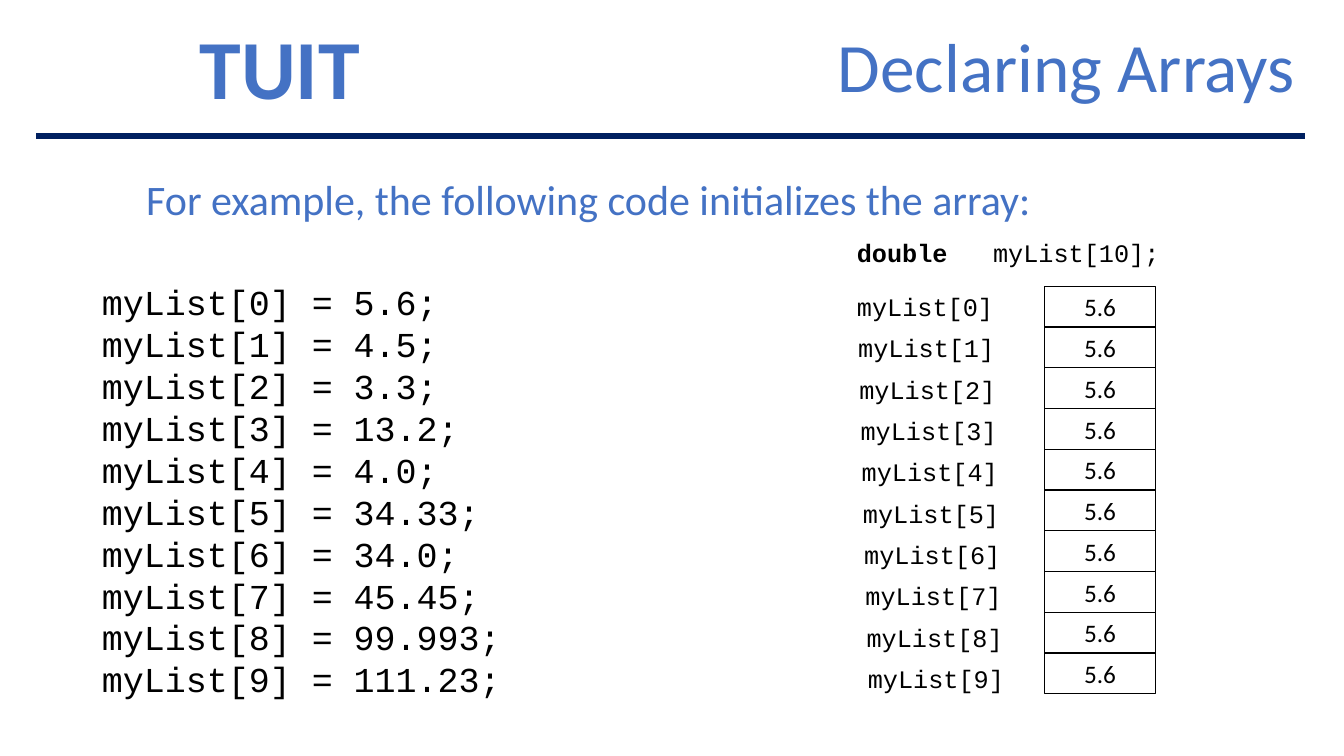
from dataclasses import dataclass

from lxml import etree
from pptx import Presentation
from pptx import util as u
from pptx.dml.color import RGBColor
from pptx.enum import shapes, text
from pptx.oxml import ns

SLIDE_WIDTH, SLIDE_HEIGHT = u.Inches(13.33), u.Inches(7.5)
VALUES = ["5.6", "4.5", "3.3", "13.2", "4.0", "34.33", "34.0", "45.45", "99.993", "111.23"]
CELL_VALUE = "5.6"


@dataclass(frozen=True)
class Theme:
    heading: str = "4472C4"
    rule: str = "002060"
    ink: str = "000000"
    paper: str = "FFFFFF"
    body_font: str = "Calibri"
    code_font: str = "Courier New"
    mark_size: float = 60
    title_size: float = 49.5
    lead_size: float = 30
    code_size: float = 25
    code_leading: float = 30
    label_size: float = 18
    rule_width: float = 4.5
    cell_border: float = 1


THEME = Theme()


# Lengths as percentages of the slide's size
def across(percent):
    return round(SLIDE_WIDTH * percent / 100)


def down(percent):
    return round(SLIDE_HEIGHT * percent / 100)


def place(shape, left, top, width, height):
    shape.left, shape.top = across(left), down(top)
    shape.width, shape.height = across(width), down(height)
    return shape


def write(shape, lines, size, color=THEME.ink, font=THEME.body_font, bold=False,
          align=text.PP_ALIGN.LEFT, anchor=text.MSO_ANCHOR.TOP, spacing=1.0,
          indent=None, tab=None):
    """Fill a shape with lines; a line is a string or a list of (text, bold) runs."""
    frame = shape.text_frame
    frame.word_wrap = True
    frame.auto_size = text.MSO_AUTO_SIZE.NONE
    frame.vertical_anchor = anchor
    if indent is not None:
        frame.margin_left = across(indent)
    for number, line in enumerate(lines):
        paragraph = frame.paragraphs[0] if number == 0 else frame.add_paragraph()
        paragraph.alignment = align
        paragraph.line_spacing = spacing
        paragraph.space_before = u.Pt(0)
        if tab is not None:
            properties = paragraph._p.get_or_add_pPr()
            stops = etree.SubElement(properties, ns.qn("a:tabLst"))
            etree.SubElement(stops, ns.qn("a:tab"), pos=str(across(tab)), algn="l")
        for words, heavy in [(line, bold)] if isinstance(line, str) else line:
            run = paragraph.add_run()
            run.text = words
            run.font.name, run.font.size, run.font.bold = font, u.Pt(size), heavy
            run.font.color.rgb = RGBColor.from_string(color)


def add_text(slide, box, lines, size, **formatting):
    shape = place(slide.shapes.add_textbox(0, 0, 0, 0), *box)
    write(shape, lines, size, **formatting)


def add_rule(slide, left, right, top):
    line = slide.shapes.add_connector(shapes.MSO_CONNECTOR.STRAIGHT, across(left),
                                      down(top), across(right), down(top))
    line.line.color.rgb = RGBColor.from_string(THEME.rule)
    line.line.width = u.Pt(THEME.rule_width)
    etree.SubElement(line._element.spPr, ns.qn("a:effectLst"))


def add_cell(slide, box, value):
    cell = place(slide.shapes.add_shape(shapes.MSO_SHAPE.RECTANGLE, 0, 0, 0, 0), *box)
    cell.shadow.inherit = False
    cell.fill.solid()
    cell.fill.fore_color.rgb = RGBColor.from_string(THEME.paper)
    cell.line.color.rgb = RGBColor.from_string(THEME.ink)
    cell.line.width = u.Pt(THEME.cell_border)
    write(cell, [value], THEME.label_size, align=text.PP_ALIGN.CENTER,
          anchor=text.MSO_ANCHOR.MIDDLE)


def add_array(slide, names):
    """Draw the column of cells with its slightly slanted column of labels."""
    for index, name in enumerate(names):
        add_cell(slide, (77.72, 37.87 + 5.39 * index, 8.25, 5.39), CELL_VALUE)
        add_text(slide, (63.02 + 0.09 * index, 37.87 + 5.47 * index, 11.7, 5.33),
                 [name], THEME.label_size, font=THEME.code_font)


def main():
    presentation = Presentation()
    presentation.slide_width, presentation.slide_height = SLIDE_WIDTH, SLIDE_HEIGHT
    slide = presentation.slides.add_slide(presentation.slide_layouts[0])
    names = [f"myList[{index}]" for index in range(len(VALUES))]

    # Header
    add_text(slide, (14.1, 3.47, 14.48, 10.8), ["TUIT"], THEME.mark_size,
             color=THEME.heading, bold=True, align=text.PP_ALIGN.JUSTIFY, spacing=0.85)
    title = place(slide.shapes.title, 58.51, 4.4, 38.56, 10)
    write(title, ["Declaring Arrays"], THEME.title_size, color=THEME.heading,
          align=text.PP_ALIGN.RIGHT, anchor=text.MSO_ANCHOR.BOTTOM, spacing=0.7)
    add_rule(slide, 2.7, 97.07, 18)

    # Lead sentence
    lead = place(slide.placeholders[1], 2.63, 18.93, 88.37, 14.53)
    write(lead, ["For example, the following code initializes the array:"],
          THEME.lead_size, color=THEME.heading, align=text.PP_ALIGN.JUSTIFY,
          spacing=1.5, indent=8.25)

    # Assignments
    code = [f"{name} = {value};" for name, value in zip(names, VALUES)]
    add_text(slide, (3.15, 36.4, 36.23, 57.47), code, THEME.code_size,
             font=THEME.code_font, align=text.PP_ALIGN.JUSTIFY,
             spacing=u.Pt(THEME.code_leading), indent=4.43)

    # Declaration and array diagram
    add_text(slide, (63.02, 30.8, 24.16, 5.33), [[("double\t", True), ("myList[10];", False)]],
             THEME.label_size, font=THEME.code_font, tab=10.13)
    add_array(slide, names)

    presentation.save("out.pptx")


if __name__ == "__main__":
    main()
